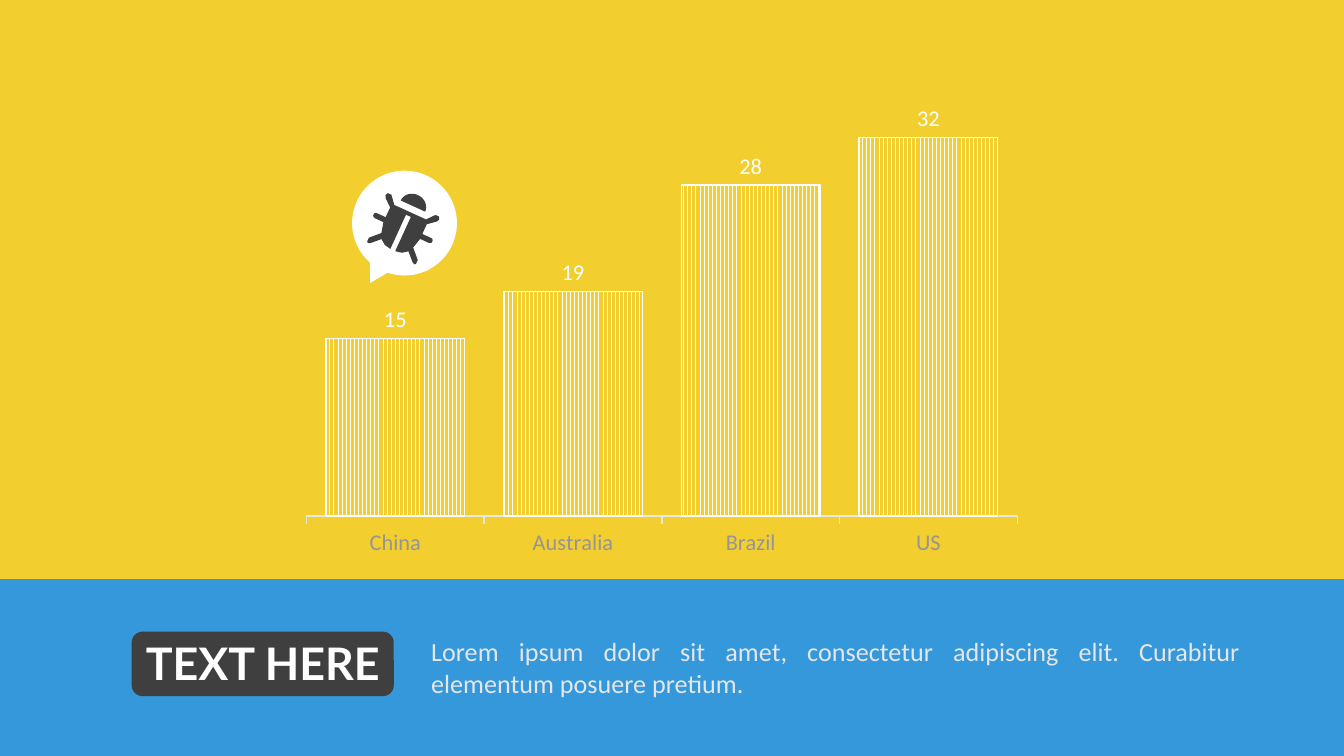
import math

import pptx
import pptx.chart.data
import pptx.dml.color
import pptx.enum.chart
import pptx.enum.dml
import pptx.enum.shapes
import pptx.enum.text
import pptx.oxml
import pptx.util

W, H = 10, 5.625
COLORS = {
    "yellow": "F3CE2F", "blue": "3598DB", "dark": "3F3F3F", "white": "FFFFFF",
    "pale": "E6E6E6", "axis": "E7E7E7", "category": "959595", "chart": "5C5C5C",
}
SHAPE = pptx.enum.shapes.MSO_SHAPE
ALIGN = pptx.enum.text.PP_ALIGN

# Right half of the upright bug, in inches from its centre
BUG_HALF = [
    (0.02, -0.07), (0.02, 0.21), (0.07, 0.2), (0.11, 0.17),
    (0.17, 0.23), (0.19, 0.24), (0.2, 0.23), (0.2, 0.2), (0.13, 0.13),
    (0.15, 0.05), (0.22, 0.05), (0.24, 0.04), (0.24, 0.02), (0.23, 0.01),
    (0.15, 0.01), (0.15, -0.07), (0.21, -0.12), (0.22, -0.14),
    (0.21, -0.16), (0.18, -0.16), (0.13, -0.1),
]


def rgb(name):
    return pptx.dml.color.RGBColor.from_string(COLORS[name])


def box(*lengths):
    return [pptx.util.Inches(v) for v in lengths]


def paint(s, color):
    s.shadow.inherit = False
    s.fill.solid()
    s.fill.fore_color.rgb = rgb(color)
    s.line.fill.background()


def style_font(font, size, color, name="Calibri", bold=None):
    font.size = pptx.util.Pt(size)
    font.color.rgb = rgb(color)
    font.name = name
    font.bold = bold


def add_block(shapes, kind, bounds, color):
    s = shapes.add_shape(kind, *box(*bounds))
    paint(s, color)
    return s


def add_text(shapes, bounds, text, align, wrap, **font):
    tf = shapes.add_textbox(*box(*bounds)).text_frame
    tf.word_wrap = wrap
    p = tf.paragraphs[0]
    p.alignment = align
    r = p.add_run()
    r.text = text
    style_font(r.font, **font)


def set_plot_area(chart, x, y, w, h):
    """Fix the inner plot area, in shares of the chart's size."""
    plot_area = chart._chartSpace.chart.plotArea
    for old in plot_area.findall(pptx.oxml.ns.qn("c:layout")):
        plot_area.remove(old)
    values = "".join(f'<c:{k} val="{v}"/>' for k, v in zip("xywh", (x, y, w, h)))
    plot_area.insert(0, pptx.oxml.parse_xml(
        f'<c:layout {pptx.oxml.ns.nsdecls("c")}><c:manualLayout>'
        '<c:layoutTarget val="inner"/><c:xMode val="edge"/><c:yMode val="edge"/>'
        f'{values}</c:manualLayout></c:layout>'))


def add_country_chart(shapes, bounds):
    data = pptx.chart.data.CategoryChartData()
    data.categories = ["US", "Brazil", "Australia", "China"]
    data.add_series("Series 1", [32, 28, 19, 15])
    kind = pptx.enum.chart.XL_CHART_TYPE.COLUMN_CLUSTERED
    chart = shapes.add_chart(kind, *box(*bounds), data).chart
    chart.has_legend = False
    chart.has_title = False
    style_font(chart.font, 10, "chart")
    set_plot_area(chart, 0.02, 0.02, 0.96, 0.87)

    # Axes: categories run right to left, values are hidden
    axis = chart.category_axis
    axis.reverse_order = True
    axis.major_tick_mark = pptx.enum.chart.XL_TICK_MARK.OUTSIDE
    axis.format.line.color.rgb = rgb("axis")
    axis.format.line.width = pptx.util.Pt(0.75)
    style_font(axis.tick_labels.font, 12, "category")
    axis = chart.value_axis
    axis.minimum_scale, axis.maximum_scale = 0, 35
    axis.has_major_gridlines = False
    axis.visible = False

    # Striped columns with their values on top
    plot = chart.plots[0]
    plot.gap_width = 28
    plot.vary_by_categories = False
    fmt = plot.series[0].format
    fmt.fill.patterned()
    fmt.fill.pattern = pptx.enum.dml.MSO_PATTERN.DARK_VERTICAL
    fmt.fill.fore_color.rgb = rgb("yellow")
    fmt.fill.back_color.rgb = rgb("white")
    fmt.line.color.rgb = rgb("white")
    fmt.line.width = pptx.util.Pt(0.75)
    plot.has_data_labels = True
    labels = plot.data_labels
    labels.show_value = True
    labels.position = pptx.enum.chart.XL_LABEL_POSITION.OUTSIDE_END
    style_font(labels.font, 12, "white")


def add_bug(shapes, cx, cy, angle):
    body = BUG_HALF + [(-x, y) for x, y in reversed(BUG_HALF)]
    turns = [math.pi * i / 16 for i in range(17)]
    head = [(0.1 * math.cos(t), -0.15 - 0.09 * math.sin(t)) for t in turns]
    builder = None
    for outline in (body, head):
        points = [box(cx + x, cy + y) for x, y in outline]
        if builder is None:
            builder = shapes.build_freeform(*points[0])
        else:
            builder.move_to(*points[0])
        builder.add_line_segments(points[1:], close=True)
    s = builder.convert_to_shape()
    s.rotation = angle
    paint(s, "dark")


def main():
    prs = pptx.Presentation()
    prs.slide_width, prs.slide_height = box(W, H)
    slide = prs.slides.add_slide(prs.slide_layouts[6])
    slide.background.fill.solid()
    slide.background.fill.fore_color.rgb = rgb("yellow")
    shapes = slide.shapes

    # Footer band and chart
    band_top = 4.31
    add_block(shapes, SHAPE.RECTANGLE, (0, band_top, W, H - band_top), "blue")
    add_country_chart(shapes, (2.17, 0.69, 5.51, 3.54))

    # Speech bubble
    bubble = add_block(shapes, SHAPE.OVAL_CALLOUT, (2.62, 1.27, 0.78, 0.78), "white")
    bubble.rotation = 11.4

    # Badge and description
    badge = shapes.add_group_shape().shapes
    add_block(badge, SHAPE.ROUNDED_RECTANGLE, (0.98, 4.7, 1.95, 0.48), "dark")
    add_text(badge, (0.98, 4.68, 1.95, 0.5), "TEXT HERE", ALIGN.CENTER, False,
             size=24, color="white", name="Lato", bold=True)
    add_text(shapes, (3.11, 4.68, 6.22, 0.69),
             "Lorem ipsum dolor sit amet, consectetur adipiscing elit. "
             "Curabitur elementum posuere pretium.",
             ALIGN.JUSTIFY, True, size=14, color="pale")

    # Bug inside the speech bubble
    add_bug(shapes, 3.01, 1.67, 24.6)
    prs.save("out.pptx")


if __name__ == "__main__":
    main()
